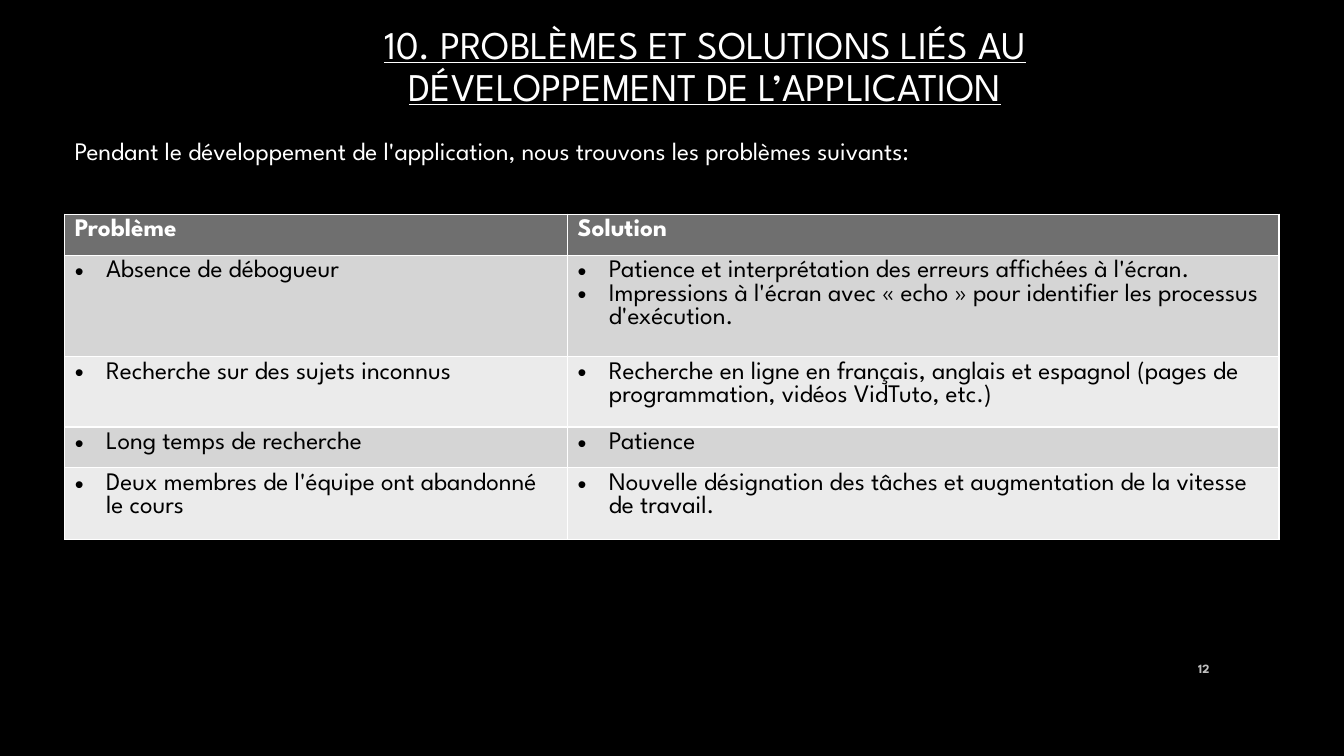
from lxml.etree import SubElement
from pptx import Presentation
from pptx.dml.color import RGBColor
from pptx.enum.text import MSO_ANCHOR as Anchor, MSO_AUTO_SIZE as AutoSize, PP_ALIGN as Align
from pptx.oxml.ns import qn
from pptx.util import Cm, Pt

FONT = "League Spartan"
BLACK = RGBColor(0x00, 0x00, 0x00)
WHITE = RGBColor(0xFF, 0xFF, 0xFF)
SILVER = RGBColor(0xBF, 0xBF, 0xBF)
HEADER_GREY = RGBColor(0x6F, 0x6F, 0x6F)
BAND_GREYS = (RGBColor(0xEB, 0xEB, 0xEB), RGBColor(0xD5, 0xD5, 0xD5))

HEADERS = ("Problème", "Solution")
PROBLEMS = [
    (["Absence de débogueur"],
     ["Patience et interprétation des erreurs affichées à l'écran.",
      "Impressions à l'écran avec « echo » pour identifier les processus d'exécution."]),
    (["Recherche sur des sujets inconnus"],
     ["Recherche en ligne en français, anglais et espagnol "
      "(pages de programmation, vidéos VidTuto, etc.)"]),
    (["Long temps de recherche"], ["Patience"]),
    (["Deux membres de l'équipe ont abandonné le cours"],
     ["Nouvelle désignation des tâches et augmentation de la vitesse de travail."]),
]
COLUMN_WIDTHS = (12.67, 17.93)
ROW_HEIGHTS = (1.03, 2.55, 1.78, 1.03, 1.8)


def format_paragraph(paragraph, text, size, color, bold=False, align=Align.LEFT):
    paragraph.text = text
    paragraph.alignment = align
    font = paragraph.font
    font.name = FONT
    font.size = Pt(size)
    font.bold = bold
    font.color.rgb = color


def place(shape, left, top, width, height):
    shape.left, shape.top = Cm(left), Cm(top)
    shape.width, shape.height = Cm(width), Cm(height)


def add_title(slide, text):
    title = slide.shapes.title
    place(title, 6.65, 1.24, 22.23, 1.65)
    frame = title.text_frame
    frame.word_wrap = True
    frame.auto_size = AutoSize.NONE
    frame.vertical_anchor = Anchor.BOTTOM
    paragraph = frame.paragraphs[0]
    format_paragraph(paragraph, text, 28, WHITE, align=Align.CENTER)
    paragraph.font.underline = True
    paragraph.line_spacing = Pt(30)


def add_text(slide, text, box, size, color, **style):
    frame = slide.shapes.add_textbox(*map(Cm, box)).text_frame
    frame.word_wrap = True
    frame.vertical_anchor = Anchor.MIDDLE
    format_paragraph(frame.paragraphs[0], text, size, color, **style)


def add_bullet(paragraph):
    properties = paragraph._p.get_or_add_pPr()
    properties.set("marL", str(Cm(0.79)))
    properties.set("indent", str(-Cm(0.79)))
    SubElement(properties, qn("a:buFont")).set("typeface", "Arial")
    SubElement(properties, qn("a:buChar")).set("char", "•")


def fill_cell(cell, lines, fill, color, header):
    cell.fill.solid()
    cell.fill.fore_color.rgb = fill
    frame = cell.text_frame
    for index, line in enumerate(lines):
        paragraph = frame.add_paragraph() if index else frame.paragraphs[0]
        format_paragraph(paragraph, line, 18, color, bold=header)
        if not header:
            add_bullet(paragraph)


def add_problem_table(slide):
    rows = [[[header] for header in HEADERS]] + PROBLEMS
    table = slide.shapes.add_table(
        len(rows), len(HEADERS), Cm(1.63), Cm(5.4),
        Cm(sum(COLUMN_WIDTHS)), Cm(sum(ROW_HEIGHTS))).table
    for column, width in zip(table.columns, COLUMN_WIDTHS):
        column.width = Cm(width)
    for index, (row, height, contents) in enumerate(zip(table.rows, ROW_HEIGHTS, rows)):
        row.height = Cm(height)
        header = index == 0
        fill = HEADER_GREY if header else BAND_GREYS[index % 2]
        for cell, lines in zip(row.cells, contents):
            fill_cell(cell, lines, fill, WHITE if header else BLACK, header)


def main():
    presentation = Presentation()
    presentation.slide_width, presentation.slide_height = Cm(33.87), Cm(19.05)
    slide = presentation.slides.add_slide(presentation.slide_layouts[5])
    slide.background.fill.solid()
    slide.background.fill.fore_color.rgb = BLACK
    add_title(slide, "10. PROBLÈMES ET SOLUTIONS LIÉS AU DÉVELOPPEMENT DE L’APPLICATION")
    add_text(slide,
             "Pendant le développement de l'application, nous trouvons les problèmes suivants:",
             (1.63, 3.28, 29.82, 1.02), 18, WHITE, align=Align.JUSTIFY)
    add_problem_table(slide)
    add_text(slide, "12", (29.21, 16.33, 1.52, 1.02), 9, SILVER, bold=True, align=Align.RIGHT)
    presentation.save("out.pptx")


if __name__ == "__main__":
    main()
